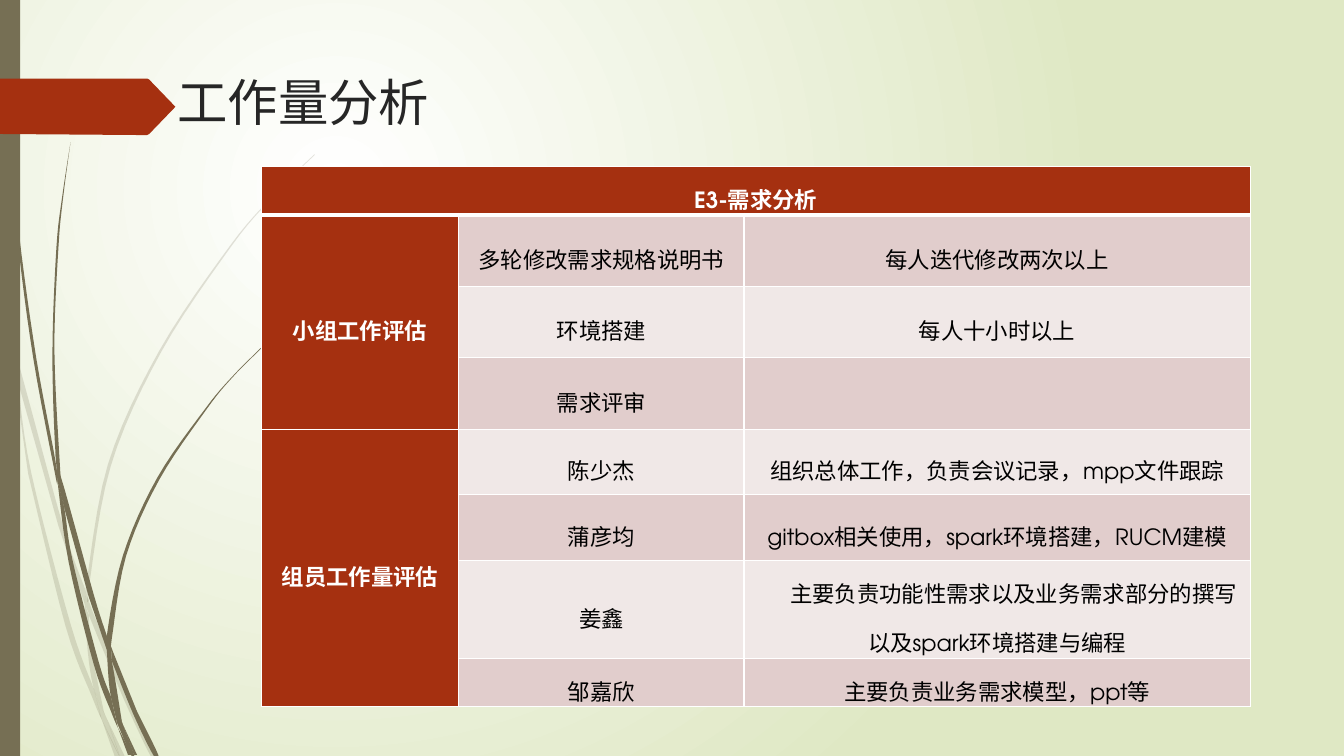
"""Build the workload analysis slide."""
import dataclasses

import lxml.etree
import pptx
import pptx.dml.color
import pptx.enum.shapes
import pptx.enum.text
import pptx.oxml
import pptx.oxml.ns
import pptx.shapes.autoshape
import pptx.slide
import pptx.table
import pptx.text.text
import pptx.util

PX = 9144
FONT = "TeX Gyre Adventor"
HUES = {"white": "FFFFFF", "lime": "DFE8C4", "olive": "766F54", "rust": "A53010",
        "ink": "262626", "black": "000000", "rose": "E1CDCC", "pale": "F0E8E7"}
Point = tuple[float, float]


@dataclasses.dataclass(frozen=True)
class Blade:
    """One piece of curved grass, given by its two long edges."""
    left: list[Point]
    right: list[Point]


@dataclasses.dataclass(frozen=True)
class Entry:
    """One filled table cell and the rows and columns it covers."""
    row: int
    col: int
    text: str
    high: int = 1
    wide: int = 1
    indent: int = 0


FAINT = [
    Blade([(11, 350), (9, 322), (0, 282)], [(0, 299), (10, 344)]),
    Blade([(58, 522), (84, 599)], [(85, 586), (62, 520), (14, 345), (17, 376)]),
    Blade([(92, 607), (88, 596)], [(88, 610), (123, 694), (150, 751), (155, 751), (127, 692)]),
    Blade([(119, 751), (124, 751)], [(105, 711)]),
    Blade([(93, 683), (70, 619), (31, 469), (17, 376), (11, 350)], [(28, 470), (65, 621), (92, 693), (101, 714)]),
    Blade([(84, 599), (87, 646), (93, 683), (105, 711)], [(103, 706), (91, 646), (88, 610)]),
    Blade([(88, 596), (88, 584), (110, 462), (160, 349), (229, 245), (268, 198), (290, 175), (312, 154)],
          [(312, 153), (289, 175), (268, 197), (228, 244), (158, 348), (107, 461), (85, 584)]),
    Blade([(101, 714), (114, 751)], [(119, 751)]),
    Blade([(88, 608), (88, 596)], [(85, 586), (84, 599)]),
    Blade([(96, 692), (93, 683)], [(99, 707), (101, 714), (119, 751), (105, 711)]),
]
SOLID = [
    Blade([(3, 0), (4, 48), (7, 110), (17, 233), (33, 355), (56, 477)],
          [(57, 481), (55, 457), (36, 355), (19, 232), (8, 109), (5, 48), (4, 0)]),
    Blade([(88, 592), (106, 645)], [(106, 631), (93, 590), (60, 472), (64, 505)]),
    Blade([(113, 649), (110, 641)], [(111, 656), (132, 708), (152, 749), (157, 749), (136, 706)]),
    Blade([(110, 691), (98, 657), (72, 556), (64, 505), (57, 477)],
          [(57, 477), (68, 557), (93, 659), (111, 708), (117, 722)]),
    Blade([(60, 472), (54, 349), (58, 245), (63, 193), (70, 141)],
          [(70, 141), (62, 193), (56, 245), (52, 349), (55, 449), (60, 472)]),
    Blade([(133, 749), (136, 749)], [(122, 719)]),
    Blade([(57, 477), (64, 505)], [(60, 472), (55, 449)]),
    Blade([(111, 633), (125, 552), (158, 476), (205, 406), (231, 374), (261, 344)],
          [(260, 344), (231, 373), (204, 405), (156, 474), (122, 551), (106, 631), (110, 641)]),
    Blade([(117, 722), (127, 749)], [(131, 749)]),
    Blade([(106, 645), (110, 691), (122, 719)], [(121, 716), (111, 656), (106, 645)]),
    Blade([(106, 645), (111, 656)], [(110, 641), (106, 631)]),
    Blade([(116, 706), (110, 691)], [(116, 717), (130, 749), (133, 749), (122, 719)]),
]
ARROW = [(0, 78), (146, 78), (148, 79), (174, 106), (148, 133), (146, 134), (136, 134), (0, 133)]
COLS = [196, 283, 502]
ROWS = [48, 71, 71, 71, 65, 65, 97, 48]
ENTRIES = [
    Entry(0, 0, "E3-需求分析", wide=3),
    Entry(1, 0, "小组工作评估", high=3), Entry(4, 0, "组员工作量评估", high=4),
    Entry(1, 1, "多轮修改需求规格说明书"), Entry(1, 2, "每人迭代修改两次以上"),
    Entry(2, 1, "环境搭建"), Entry(2, 2, "每人十小时以上"),
    Entry(3, 1, "需求评审"),
    Entry(4, 1, "陈少杰"), Entry(4, 2, "组织总体工作，负责会议记录，mpp文件跟踪"),
    Entry(5, 1, "蒲彦均"), Entry(5, 2, "gitbox相关使用，spark环境搭建，RUCM建模"),
    Entry(6, 1, "姜鑫"),
    Entry(6, 2, "主要负责功能性需求以及业务需求部分的撰写以及spark环境搭建与编程", indent=33),
    Entry(7, 1, "邹嘉欣"), Entry(7, 2, "主要负责业务需求模型，ppt等"),
]


def emu(num: float) -> int:
    return round(num * PX)


def hue(name: str) -> pptx.dml.color.RGBColor:
    return pptx.dml.color.RGBColor.from_string(HUES[name])


def curve(knots: list[Point], steps: int = 6) -> list[Point]:
    ends = [knots[0], *knots, knots[-1]]
    out = [knots[0]]
    for quad in zip(ends, ends[1:], ends[2:], ends[3:]):
        for t in (step / steps for step in range(1, steps + 1)):
            x, y = (b + t / 2 * (c - a + t * (2 * a - 5 * b + 4 * c - d + t * (3 * b - a - 3 * c + d)))
                    for a, b, c, d in zip(*quad))
            out.append((x, y))
    return out


def paint(shape: pptx.shapes.autoshape.Shape, name: str) -> None:
    shape.shadow.inherit = False
    shape.fill.solid()
    shape.fill.fore_color.rgb = hue(name)
    shape.line.fill.background()


def outline(slide: pptx.slide.Slide, dots: list[Point], name: str, alpha: int = 100) -> None:
    spots = [(emu(x), emu(y)) for x, y in dots]
    pen = slide.shapes.build_freeform(*spots[0], scale=1.0)
    pen.add_line_segments(spots[1:], close=True)
    shape = pen.convert_to_shape()
    paint(shape, name)
    if alpha < 100:
        tint = shape.element.spPr.find(".//" + pptx.oxml.ns.qn("a:srgbClr"))
        lxml.etree.SubElement(tint, pptx.oxml.ns.qn("a:alpha"), val=str(alpha * 1000))


def backdrop(slide: pptx.slide.Slide) -> None:
    fill = slide.background.fill
    fill.gradient()
    for stop, name in zip(fill.gradient_stops, ("white", "lime")):
        stop.color.rgb = hue(name)
    line = slide.element.find(".//" + pptx.oxml.ns.qn("a:lin"))
    line.getparent().replace(line, pptx.oxml.parse_xml(
        f'<a:path {pptx.oxml.ns.nsdecls("a")} path="circle">'
        '<a:fillToRect l="50000" t="50000" r="100000" b="100000"/></a:path>'))


def style(para: pptx.text.text._Paragraph, size: int, name: str, bold: bool = False) -> None:
    para.font.name, para.font.size, para.font.bold = FONT, pptx.util.Pt(size), bold
    para.font.color.rgb = hue(name)


def border(cell: pptx.table._Cell, row: int) -> None:
    props = cell._tc.get_or_add_tcPr()
    for spot, side in enumerate("LRTB"):
        thick = 3 if (row, side) in ((0, "B"), (1, "T")) else 1
        props.insert(spot, pptx.oxml.parse_xml(
            f'<a:ln{side} {pptx.oxml.ns.nsdecls("a")} w="{thick * 12700}"><a:solidFill>'
            f'<a:srgbClr val="{HUES["white"]}"/></a:solidFill></a:ln{side}>'))


def grid(slide: pptx.slide.Slide) -> None:
    table = slide.shapes.add_table(
        len(ROWS), len(COLS), emu(259), emu(165), emu(sum(COLS)), emu(sum(ROWS))).table
    table.first_row = table.horz_banding = False
    for col, wide in zip(table.columns, COLS):
        col.width = emu(wide)
    for r, high in enumerate(ROWS):
        table.rows[r].height = emu(high)
        for c in range(len(COLS)):
            cell = table.cell(r, c)
            cell.fill.solid()
            cell.fill.fore_color.rgb = hue("rust" if r * c == 0 else "rose" if r % 2 else "pale")
            border(cell, r)
    for item in ENTRIES:
        cell = table.cell(item.row, item.col)
        if item.high * item.wide > 1:
            cell.merge(table.cell(item.row + item.high - 1, item.col + item.wide - 1))
        cell.vertical_anchor = pptx.enum.text.MSO_ANCHOR.MIDDLE
        cell.margin_left = cell.margin_right = emu(7)
        cell.margin_top = cell.margin_bottom = 0
        cell.text = item.text
        para = cell.text_frame.paragraphs[0]
        para.alignment = pptx.enum.text.PP_ALIGN.CENTER
        para.line_spacing = 1.5
        style(para, 16, "black" if item.col else "white", item.col == 0)
        if item.indent:
            para._p.get_or_add_pPr().set("indent", str(emu(item.indent)))


def main() -> None:
    deck = pptx.Presentation()
    deck.slide_width, deck.slide_height = emu(1333), emu(750)
    slide = deck.slides.add_slide(deck.slide_layouts[6])
    backdrop(slide)
    for blades, alpha in ((FAINT, 20), (SOLID, 100)):
        for blade in blades:
            outline(slide, curve(blade.left) + curve(blade.right), "olive", alpha)
    band = slide.shapes.add_shape(pptx.enum.shapes.MSO_SHAPE.RECTANGLE, 0, 0, emu(20), emu(750))
    paint(band, "olive")
    outline(slide, ARROW, "rust")
    title = slide.shapes.add_textbox(emu(166), emu(66), emu(975), emu(140)).text_frame
    title.word_wrap = True
    title.text = "工作量分析"
    style(title.paragraphs[0], 36, "ink")
    grid(slide)
    deck.save("out.pptx")


if __name__ == "__main__":
    main()
